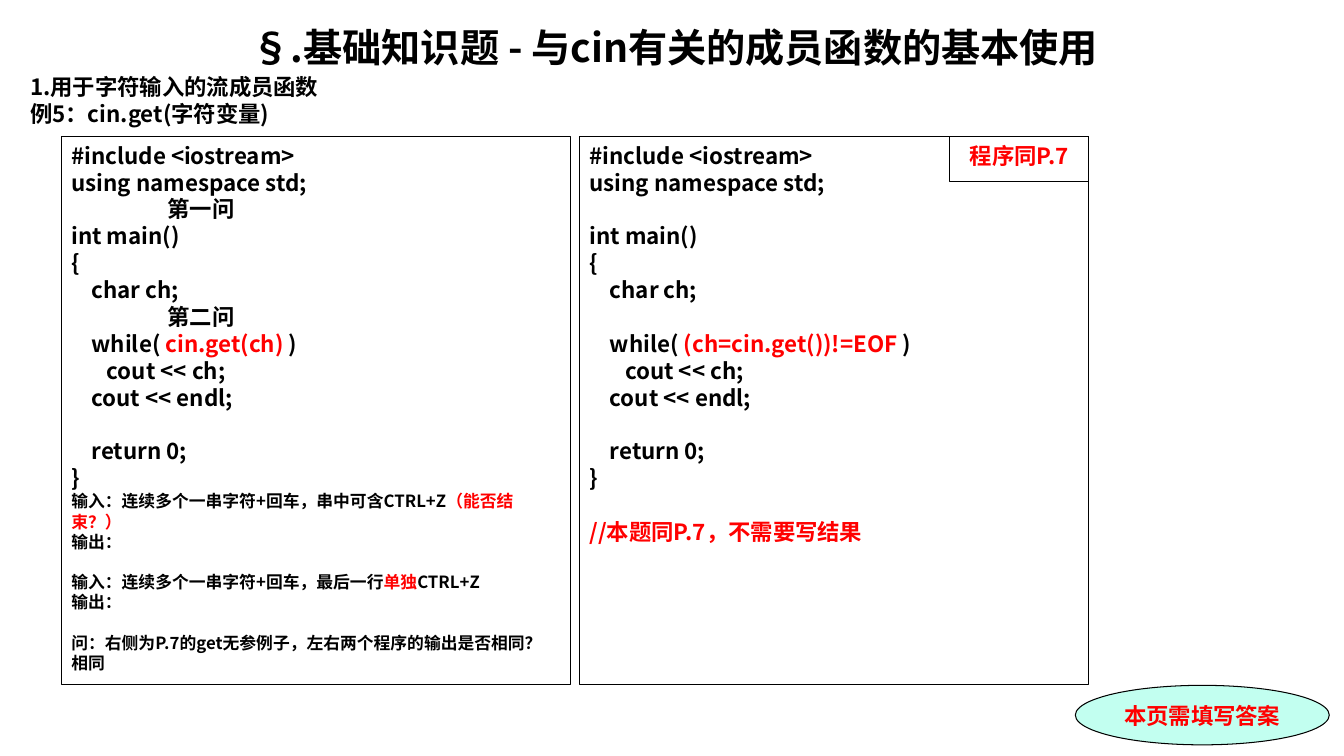
import pptx
import pptx.dml.color
import pptx.enum.shapes
import pptx.enum.text
import pptx.oxml.ns
import pptx.util
from lxml import etree

Cm = pptx.util.Cm
Pt = pptx.util.Pt
RGBColor = pptx.dml.color.RGBColor
Shape = pptx.enum.shapes.MSO_SHAPE
Align = pptx.enum.text.PP_ALIGN
Anchor = pptx.enum.text.MSO_ANCHOR

BLACK = RGBColor(0x00, 0x00, 0x00)
RED = RGBColor(0xFF, 0x00, 0x00)
MINT = RGBColor(0xC2, 0xFF, 0xF0)
FONT = "Noto Sans CJK SC"
LINE = 1.2
CODE_SIZE = 16
NOTE_SIZE = 12
CODE_GAP = CODE_SIZE * LINE
NOTE_GAP = NOTE_SIZE * LINE
PANEL_TOP, PANEL_WIDTH, PANEL_HEIGHT = 3.45, 12.83, 13.79
LEFT_PANEL, RIGHT_PANEL = 1.55, 14.61
LABEL_WIDTH = 3.5


def write(frame, text, size=CODE_SIZE, color=BLACK, font=FONT, align=Align.LEFT, before=0, indent=0):
    """Add one paragraph; parts between bars are red."""
    paragraph = frame.paragraphs[0]
    if paragraph.runs:
        paragraph = frame.add_paragraph()
    paragraph.alignment = align
    paragraph.line_spacing = Pt(size * LINE)
    paragraph.space_before = Pt(before)
    if indent:
        paragraph._p.get_or_add_pPr().set("marL", str(Cm(indent)))
    for index, part in enumerate(text.split("|")):
        if not part:
            continue
        run = paragraph.add_run()
        run.text = part
        run.font.size = Pt(size)
        run.font.bold = True
        run.font.name = font
        run.font.color.rgb = RED if index % 2 else color
        east_asian = etree.SubElement(run.font._element, pptx.oxml.ns.qn("a:ea"))
        east_asian.set("typeface", FONT)


class ExerciseSlide:
    """Hold the slide and its outline style."""

    def __init__(self, presentation):
        self.slide = presentation.slides.add_slide(presentation.slide_layouts[6])
        self.line_color = BLACK
        self.line_width = Pt(0.75)

    def text_box(self, left, top, width, height):
        """Return the frame of a wrapping text box."""
        box = self.slide.shapes.add_textbox(Cm(left), Cm(top), Cm(width), Cm(height))
        box.text_frame.word_wrap = True
        return box.text_frame

    def outlined(self, left, top, width, height, kind=Shape.RECTANGLE, fill=None, anchor=Anchor.TOP):
        """Return the frame of an outlined shape."""
        shape = self.slide.shapes.add_shape(kind, Cm(left), Cm(top), Cm(width), Cm(height))
        shape.shadow.inherit = False
        if fill is None:
            shape.fill.background()
        else:
            shape.fill.solid()
            shape.fill.fore_color.rgb = fill
        shape.line.color.rgb = self.line_color
        shape.line.width = self.line_width
        shape.text_frame.word_wrap = True
        shape.text_frame.vertical_anchor = anchor
        return shape.text_frame

    def program(self, left, condition, remarks=("", "")):
        """Draw a program panel and return its frame."""
        frame = self.outlined(left, PANEL_TOP, PANEL_WIDTH, PANEL_HEIGHT)
        sections = (
            ("#include <iostream>", "using namespace std;"),
            ("int main()", "{", "    char ch;"),
            (f"    while( {condition})", "       cout << ch;", "    cout << endl;"),
            ("    return 0;", "}"),
        )
        for section, remark in zip(sections, ("", *remarks, "")):
            if remark:
                write(frame, remark, indent=2.42)
            first = section is sections[0]
            for index, code in enumerate(section):
                gap = 0 if index or first or remark else CODE_GAP
                write(frame, code, before=gap)
        return frame


def main():
    """Build and save the presentation."""
    presentation = pptx.Presentation()
    presentation.slide_width = Cm(33.87)
    presentation.slide_height = Cm(19.05)
    exercise = ExerciseSlide(presentation)

    heading = exercise.text_box(0.51, 0.46, 32.99, 18.01)
    write(heading, "§.基础知识题 - 与cin有关的成员函数的基本使用", size=28, align=Align.CENTER)
    write(heading, "1.用于字符输入的流成员函数", before=2)
    write(heading, "例5：cin.get(字符变量)")

    reminder = exercise.outlined(27.1, 17.27, 6.4, 1.5, Shape.OVAL, MINT, Anchor.MIDDLE)
    write(reminder, "本页需填写答案", color=RED, font="Times New Roman", align=Align.CENTER)

    questions = exercise.program(LEFT_PANEL, "|cin.get(ch)| ", ("第一问", "第二问"))
    for text, gap in (
        ("输入：连续多个一串字符+回车，串中可含CTRL+Z|（能否结束？）", 0),
        ("输出：", 0),
        ("输入：连续多个一串字符+回车，最后一行|单独|CTRL+Z", NOTE_GAP),
        ("输出：", 0),
        ("问：右侧为P.7的get无参例子，左右两个程序的输出是否相同？", NOTE_GAP),
        ("相同", 0),
    ):
        write(questions, text, size=NOTE_SIZE, before=gap)

    comparison = exercise.program(RIGHT_PANEL, "|(ch=cin.get())!=EOF |")
    write(comparison, "//本题同P.7，不需要写结果", color=RED, before=CODE_GAP)

    label_left = RIGHT_PANEL + PANEL_WIDTH - LABEL_WIDTH
    label = exercise.outlined(label_left, PANEL_TOP, LABEL_WIDTH, 1.12)
    write(label, "程序同P.7", color=RED, align=Align.CENTER)

    presentation.save("out.pptx")


if __name__ == "__main__":
    main()
